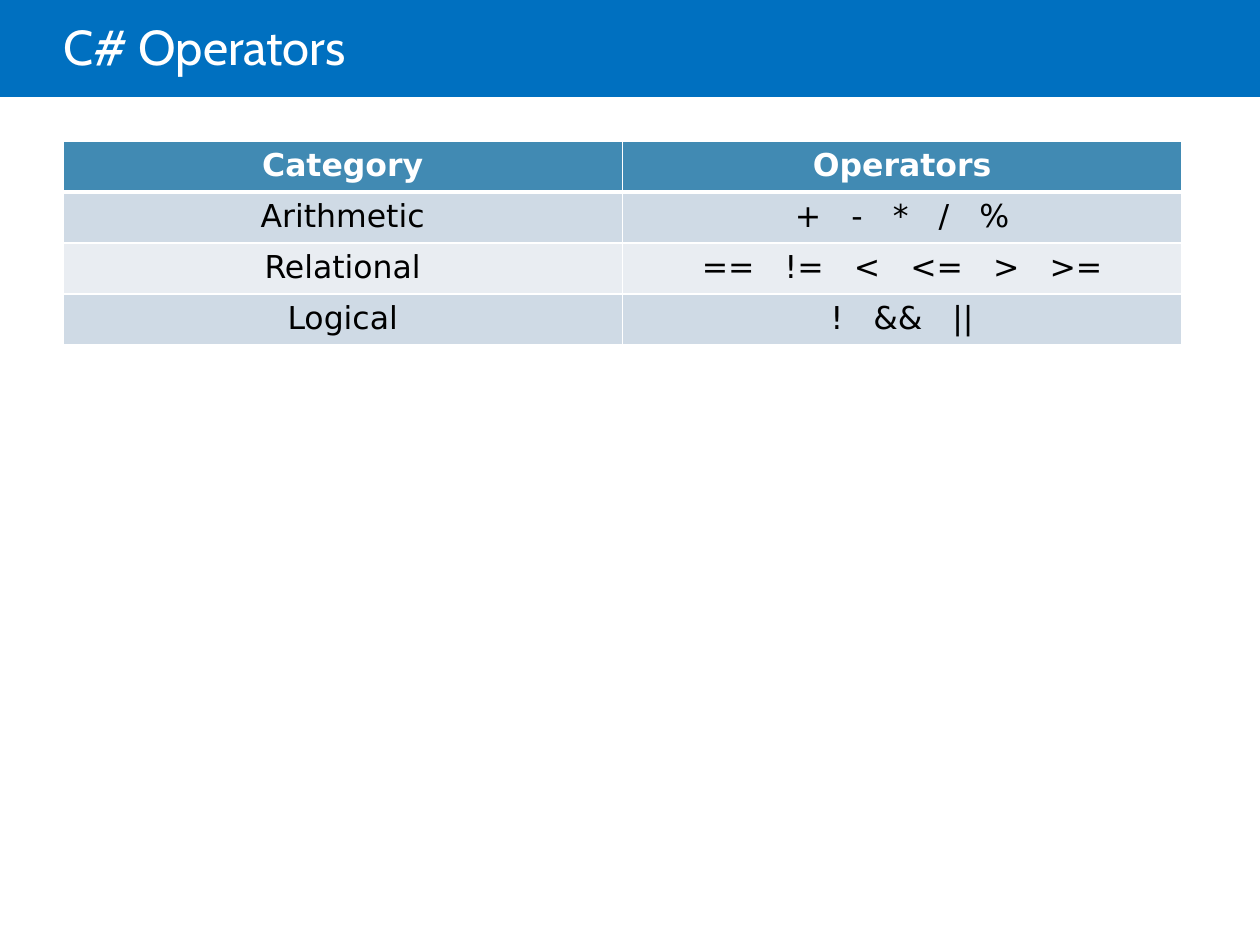
from lxml import etree
from pptx import Presentation
from pptx.dml.color import RGBColor
from pptx.enum.shapes import MSO_SHAPE
from pptx.enum.text import MSO_ANCHOR, PP_ALIGN
from pptx.oxml.ns import qn
from pptx.util import Inches, Pt

RECTANGLE = MSO_SHAPE.RECTANGLE
MIDDLE = MSO_ANCHOR.MIDDLE
LEFT, CENTER = PP_ALIGN.LEFT, PP_ALIGN.CENTER
TITLE_ONLY = 5
OPERATOR_GAP = 11.44

COLORS = {
    "bar": "0070C0",
    "header": "418AB3",
    "odd": "CFDAE5",
    "even": "E9EDF2",
    "white": "FFFFFF",
    "black": "000000",
}

ROWS = [
    ("Category", "Operators"),
    ("Arithmetic", "+ - * / %"),
    ("Relational", "== != < <= > >="),
    ("Logical", "! && ||"),
]


def rgb(name):
    return RGBColor.from_string(COLORS[name])


def style_font(font, name, size, color, bold=False):
    font.name = name
    font.size = Pt(size)
    font.bold = bold
    font.color.rgb = rgb(color)


def add_bar(slide):
    s = slide.shapes.add_shape(RECTANGLE, 0, 0, Inches(10), Inches(0.77))
    s.shadow.inherit = False
    s.fill.solid()
    s.fill.fore_color.rgb = rgb("bar")
    s.line.fill.background()
    slide.shapes.title.element.addprevious(s.element)


def set_title(slide, text):
    s = slide.shapes.title
    s.left, s.top = Inches(0.5), Inches(0)
    s.width, s.height = Inches(8.5), Inches(0.81)
    tf = s.text_frame
    tf.text = text
    tf.word_wrap = True
    tf.vertical_anchor = MIDDLE
    tf.margin_left, tf.margin_right = 0, Inches(0.1)
    tf.margin_top = tf.margin_bottom = Inches(0.05)
    p = tf.paragraphs[0]
    p.alignment = LEFT
    p.line_spacing = 0.85
    style_font(p.font, "Cabin", 28, "white")


def set_border(cell, side, width):
    tc_pr = cell._tc.get_or_add_tcPr()
    line = etree.SubElement(tc_pr, qn(f"a:ln{side}"), w=str(Pt(width)))
    fill = etree.SubElement(line, qn("a:solidFill"))
    etree.SubElement(fill, qn("a:srgbClr"), val=COLORS["white"])


def add_spaced_text(p, text):
    for i, word in enumerate(text.split()):
        if i:
            gap = p.add_run()
            gap.text = " "
            gap._r.get_or_add_rPr().set("spc", str(round(OPERATOR_GAP * 100)))
        p.add_run().text = word


def fill_cell(cell, text, row):
    header = row == 0
    widths = {"L": 1, "R": 1, "T": 3 if row == 1 else 1, "B": 3 if header else 1}
    for side, width in widths.items():
        set_border(cell, side, width)
    cell.fill.solid()
    cell.fill.fore_color.rgb = rgb("header" if header else "odd" if row % 2 else "even")
    p = cell.text_frame.paragraphs[0]
    p.alignment = CENTER
    style_font(p.font, "DejaVu Sans", 18, "white" if header else "black", header)
    add_spaced_text(p, text)


def add_operator_table(slide):
    table = slide.shapes.add_table(
        len(ROWS), 2, Inches(0.5), Inches(1.12), Inches(8.88), Inches(1.62)
    ).table
    for i, row in enumerate(ROWS):
        for j, text in enumerate(row):
            fill_cell(table.cell(i, j), text, i)


def main():
    prs = Presentation()
    prs.slide_width, prs.slide_height = Inches(10), Inches(7.5)
    slide = prs.slides.add_slide(prs.slide_layouts[TITLE_ONLY])
    add_bar(slide)
    set_title(slide, "C# Operators")
    add_operator_table(slide)
    prs.save("out.pptx")


if __name__ == "__main__":
    main()
